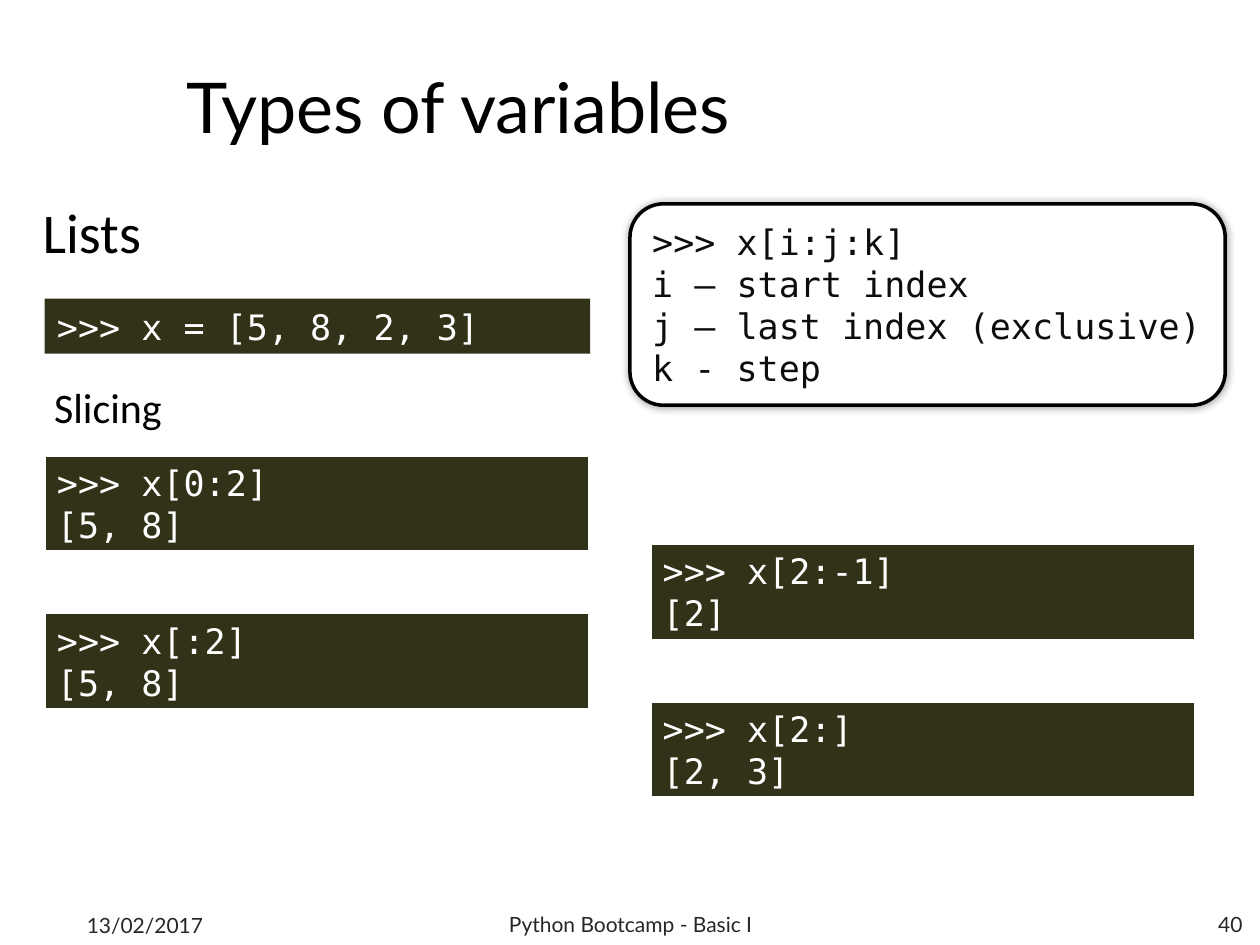
from dataclasses import dataclass

from lxml.etree import SubElement as Sub
from pptx import Presentation
from pptx.dml.color import RGBColor
from pptx.enum.shapes import MSO_SHAPE as Kind
from pptx.enum.text import MSO_ANCHOR as Anchor, MSO_AUTO_SIZE as Fit, PP_ALIGN as Align
from pptx.oxml.ns import qn
from pptx.util import Cm, Pt

BLACK = RGBColor(0x00, 0x00, 0x00)
WHITE = RGBColor(0xFF, 0xFF, 0xFF)
OLIVE = RGBColor(0x32, 0x32, 0x19)
INK = RGBColor(0x0D, 0x0D, 0x0D)
GREY = RGBColor(0x26, 0x26, 0x26)
MONO = "DejaVu Sans Mono"


@dataclass
class Area:
    left: float
    top: float
    width: float
    height: float

    def cm(self) -> list:
        return [Cm(v) for v in (self.left, self.top, self.width, self.height)]


@dataclass
class Label:
    text: str
    area: Area
    size: int
    font: str
    color: RGBColor
    align: Align = Align.LEFT
    anchor: Anchor = Anchor.TOP


@dataclass
class Code:
    text: str
    area: Area
    kind: Kind = Kind.RECTANGLE
    fill: RGBColor = OLIVE
    color: RGBColor = WHITE
    line: RGBColor | None = WHITE


def style(frame, text: str, size: int, font: str, color: RGBColor,
          align=Align.LEFT, anchor=Anchor.MIDDLE) -> None:
    frame.text = text
    frame.auto_size = Fit.NONE
    frame.word_wrap = True
    frame.vertical_anchor = anchor
    for para in frame.paragraphs:
        para.alignment = align
        for run in para.runs:
            run.font.size = Pt(size)
            run.font.name = font
            run.font.color.rgb = color


def add_label(slide, item: Label) -> None:
    box = slide.shapes.add_textbox(*item.area.cm())
    style(box.text_frame, item.text, item.size, item.font, item.color,
          item.align, item.anchor)


def add_code(slide, item: Code):
    box = slide.shapes.add_shape(item.kind, *item.area.cm())
    box.shadow.inherit = False
    box.fill.solid()
    box.fill.fore_color.rgb = item.fill
    if item.line is None:
        box.line.fill.background()
    else:
        box.line.color.rgb = item.line
        box.line.width = Pt(2)
    style(box.text_frame, item.text, 20, MONO, item.color)
    return box


def add_glow(box) -> None:
    # Soft black shadow with no offset
    list_ = box.element.spPr.find(qn("a:effectLst"))
    shade = Sub(list_, qn("a:outerShdw"), blurRad=str(Pt(5)), dist="0", dir="0",
                algn="ctr", rotWithShape="0")
    tint = Sub(shade, qn("a:srgbClr"), val=str(BLACK))
    Sub(tint, qn("a:alpha"), val="40000")


deck = Presentation()
deck.slide_width, deck.slide_height = Cm(25.4), Cm(19.05)
slide = deck.slides.add_slide(deck.slide_layouts[5])

# Title
title = slide.shapes.title
title.left, title.top, title.width, title.height = Area(3.5, 1.12, 20.62, 2).cm()
style(title.text_frame, "Types of variables", 40, "Lato", BLACK)

# Footer and headings
FOOT = (12, "Lato", GREY)
for item in (
    Label("13/02/2017", Area(1.5, 18.14, 5.92, 1.02), *FOOT, anchor=Anchor.MIDDLE),
    Label("Python Bootcamp - Basic I", Area(8.69, 18.11, 8.05, 1.02), *FOOT,
          Align.CENTER, Anchor.MIDDLE),
    Label("40", Area(19.38, 18.11, 5.92, 1.02), *FOOT, Align.RIGHT, Anchor.MIDDLE),
    Label("Lists", Area(0.61, 3.86, 6.2, 1.27), 32, "Calibri", BLACK),
    Label("Slicing", Area(0.84, 7.57, 12.88, 1.27), 24, "Calibri", BLACK),
):
    add_label(slide, item)

# Slicing examples: two columns, equal step down
LEFT, RIGHT, WIDE, STEP = 0.9, 13.11, 11, 3.18
COLS = (
    (LEFT, 9.17, (">>> x[0:2]\n[5, 8]", ">>> x[:2]\n[5, 8]")),
    (RIGHT, 10.95, (">>> x[2:-1]\n[2]", ">>> x[2:]\n[2, 3]")),
)
for left, top, texts in COLS:
    for row, text in enumerate(texts):
        add_code(slide, Code(text, Area(left, top + row * STEP, WIDE, 1.96)))

# Syntax callout
RULE = ">>> x[i:j:k]\ni – start index\nj – last index (exclusive)\nk - step"
note = add_code(slide, Code(RULE, Area(12.7, 4.11, 12, 4.06), Kind.ROUNDED_RECTANGLE,
                            WHITE, INK, BLACK))
add_glow(note)

# List definition
add_code(slide, Code(">>> x = [5, 8, 2, 3]", Area(LEFT, 6.02, WIDE, 1.11), line=None))

deck.save("out.pptx")
